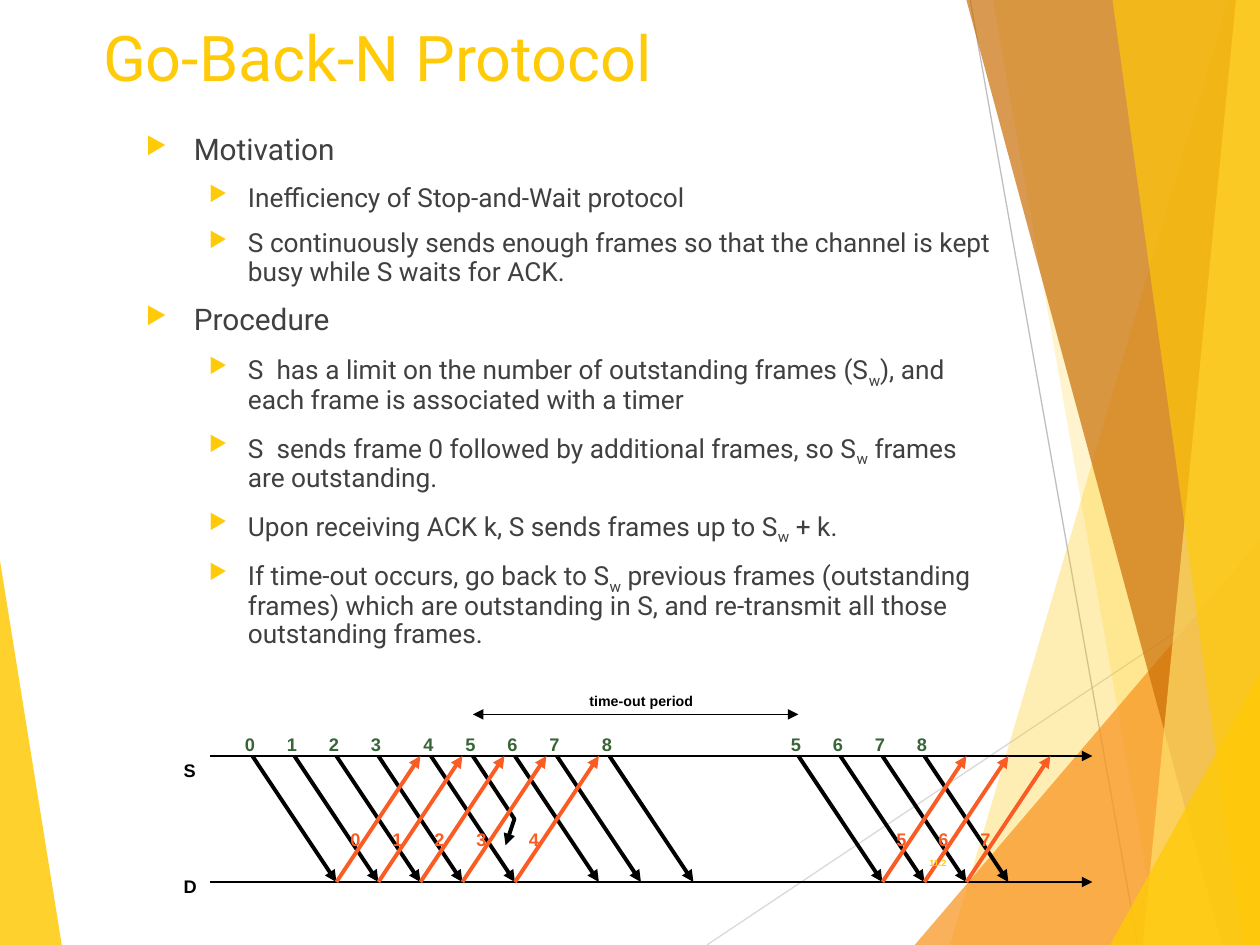
from dataclasses import dataclass

from lxml.etree import SubElement
from pptx import Presentation
from pptx.dml.color import RGBColor
from pptx.enum.shapes import MSO_CONNECTOR
from pptx.enum.text import MSO_ANCHOR, MSO_AUTO_SIZE, PP_ALIGN
from pptx.oxml.ns import qn
from pptx.util import Inches, Pt


@dataclass(frozen=True)
class Theme:
    """Colours, fonts and type sizes of the slide."""
    gold: str = "FFCA08"
    pale_gold: str = "FFDF6B"
    orange: str = "F8931D"
    brown: str = "CA6F06"
    body: str = "404040"
    black: str = "000000"
    frame: str = "376537"
    ack: str = "FA5C24"
    light_grey: str = "D9D9D9"
    grey: str = "BFBFBF"
    text_font: str = "Roboto"
    label_font: str = "Arial"
    title_size: int = 36
    level_sizes: tuple = (17, 15)
    label_size: int = 18
    period_size: int = 14
    number_size: int = 9
    thin: float = 0.75
    thick: float = 2.25


@dataclass(frozen=True)
class Box:
    """A region of the slide, in inches."""
    left: float
    top: float
    width: float
    height: float


THEME = Theme()
SLIDE = Box(0, 0, 10, 7.5)
POINTS = [
    (0, "Motivation"),
    (1, "Inefficiency of Stop-and-Wait protocol"),
    (1, "S continuously sends enough frames so that the channel is kept busy while S waits for ACK."),
    (0, "Procedure"),
    (1, "S  has a limit on the number of outstanding frames (S|w|), and each frame is associated with a timer"),
    (1, "S  sends frame 0 followed by additional frames, so S|w| frames are outstanding."),
    (1, "Upon receiving ACK k, S sends frames up to S|w| + k."),
    (1, "If time-out occurs, go back to S|w| previous frames (outstanding frames) which are outstanding in S, "
        "and re-transmit all those outstanding frames."),
]
LEVEL_INDENTS = [(0.38, -0.38), (0.81, -0.31)]
LOST_SLOT, RESEND_SLOT = 5.25, 13
FRAMES = [("0", 0), ("1", 1), ("2", 2), ("3", 3), ("4", 4.25), ("5", LOST_SLOT), ("6", 6.25), ("7", 7.25),
          ("8", 8.5), ("5", RESEND_SLOT), ("6", 14), ("7", 15), ("8", 16)]
ACKS = [("0", 2), ("1", 3), ("2", 4), ("3", 5), ("4", 6.25), ("5", 15), ("6", 16), ("7", 17)]


def style_font(font, name, size, color, bold=False):
    """Set the face, size, colour and weight of a font."""
    font.name, font.size, font.bold = name, Pt(size), bold
    font.color.rgb = RGBColor.from_string(color)


def style_line(shape, color, width, head=False, tail=True):
    """Set the outline of a shape and its arrowheads."""
    shape.line.color.rgb = RGBColor.from_string(color)
    shape.line.width = Pt(width)
    outline = shape.element.spPr.find(qn("a:ln"))
    for tag, wanted in (("a:headEnd", head), ("a:tailEnd", tail)):
        if wanted:
            SubElement(outline, qn(tag), type="triangle")


def add_line(slide, start, end, color, width, head=False, tail=True):
    """Draw a straight connector between two points in inches."""
    connector = slide.shapes.add_connector(
        MSO_CONNECTOR.STRAIGHT, *(Inches(value) for value in (*start, *end)))
    style_line(connector, color, width, head, tail)
    SubElement(connector.element.spPr, qn("a:effectLst"))


def add_outline(slide, points, close=True):
    """Build a freeform through points in inches."""
    first, *rest = [(Inches(x), Inches(y)) for x, y in points]
    builder = slide.shapes.build_freeform(*first)
    builder.add_line_segments(rest, close=close)
    shape = builder.convert_to_shape()
    shape.shadow.inherit = False
    return shape


def add_facet(slide, points, color, opacity):
    """Draw a translucent polygon without an outline."""
    facet = add_outline(slide, points)
    facet.fill.solid()
    facet.fill.fore_color.rgb = RGBColor.from_string(color)
    facet.line.fill.background()
    color_element = facet.element.spPr.find(qn("a:solidFill"))[0]
    SubElement(color_element, qn("a:alpha"), val=str(opacity * 1000))


def add_text_box(slide, box):
    """Add a wrapping text box and return its text frame."""
    text_frame = slide.shapes.add_textbox(
        Inches(box.left), Inches(box.top), Inches(box.width), Inches(box.height)).text_frame
    text_frame.word_wrap = True
    return text_frame


def add_label(slide, box, text, color, size=THEME.label_size, inset=True):
    """Add a bold, slightly lowered label and return its text frame."""
    text_frame = add_text_box(slide, box)
    text_frame.word_wrap = False
    text_frame.auto_size = MSO_AUTO_SIZE.SHAPE_TO_FIT_TEXT
    if not inset:
        text_frame.margin_left = text_frame.margin_right = 0
        text_frame.margin_top = text_frame.margin_bottom = 0
    text_frame.text = text
    run = text_frame.paragraphs[0].runs[0]
    style_font(run.font, THEME.label_font, size, color, bold=True)
    run._r.get_or_add_rPr().set("baseline", "-18000")
    return text_frame


def add_backdrop(slide, box):
    """Draw the coloured facets and hairlines along the slide edges."""
    left, top = box.left, box.top
    right, bottom = left + box.width, top + box.height
    corner_right, corner_left = (right, bottom), (left, bottom)
    add_facet(slide, [(left, top + 4.45), (left + 0.49, bottom), corner_left], THEME.gold, 85)
    add_line(slide, (left + 5.61, bottom), (right, top + 4.57), THEME.light_grey, THEME.thin, tail=False)
    add_line(slide, (left + 7.7, top), (left + 9.03, bottom), THEME.grey, THEME.thin, tail=False)
    for upper_x, upper_y, lower_x, color, opacity in (
            (9.75, 0, 7.54, THEME.gold, 30),
            (7.88, 0, 9.2, THEME.gold, 20),
            (10, 4.29, 7.26, THEME.orange, 72),
            (7.67, 0, 9.7, THEME.brown, 70),
            (9.81, 0, 9.07, THEME.pale_gold, 70),
            (8.83, 0, 9.86, THEME.gold, 65),
            (10, 5.35, 8.81, THEME.gold, 80)):
        points = [(left + upper_x, top + upper_y), (left + lower_x, bottom), corner_right]
        if upper_x < box.width:
            points.append((right, top))
        add_facet(slide, points, color, opacity)


def add_title(slide, box):
    """Write the slide title."""
    text_frame = add_text_box(slide, box)
    text_frame.text = "Go-Back-N Protocol"
    style_font(text_frame.paragraphs[0].runs[0].font, THEME.text_font, THEME.title_size, THEME.gold)


def add_bullet(paragraph, level):
    """Give a paragraph its indent and gold triangle bullet."""
    properties = paragraph._p.get_or_add_pPr()
    margin, indent = LEVEL_INDENTS[level]
    properties.set("marL", str(Inches(margin)))
    properties.set("indent", str(Inches(indent)))
    SubElement(SubElement(properties, qn("a:buClr")), qn("a:srgbClr"), val=THEME.gold)
    SubElement(properties, qn("a:buSzPct"), val="80000")
    SubElement(properties, qn("a:buChar"), char="▶")


def add_points(slide, box):
    """Write the two-level bullet list, with subscripts between bars."""
    text_frame = add_text_box(slide, box)
    for index, (level, text) in enumerate(POINTS):
        paragraph = text_frame.add_paragraph() if index else text_frame.paragraphs[0]
        paragraph.level = level
        paragraph.line_spacing = 0.9
        paragraph.space_before = Pt(10 if index else 0)
        add_bullet(paragraph, level)
        for part, piece in enumerate(text.split("|")):
            run = paragraph.add_run()
            run.text = piece
            style_font(run.font, THEME.text_font, THEME.level_sizes[level], THEME.body)
            if part % 2:
                run._r.get_or_add_rPr().set("baseline", "-25000")


def add_timeline(slide, box):
    """Draw frames and acknowledgements travelling between S and D."""
    left, sender, receiver = box.left, box.top, box.top + box.height
    slot = 1 / 3
    travel = 2 * slot

    def at(time):
        return left + (time + 1) * slot

    for name, y, offset in (("D", receiver, -0.25), ("S", sender, -0.17)):
        add_line(slide, (left, y), (left + box.width, y), THEME.black, THEME.thin)
        add_label(slide, Box(left - 0.31, y + offset, 0.3, 0.43), name, THEME.black)
    for number, time in FRAMES:
        x = at(time)
        if time == LOST_SLOT:
            lost = add_outline(slide, [(x, sender), (x + 0.33, sender + 0.5), (x + 0.26, sender + 0.71)], close=False)
            lost.fill.background()
            style_line(lost, THEME.black, THEME.thick)
        else:
            add_line(slide, (x, sender), (x + travel, receiver), THEME.black, THEME.thick)
        add_label(slide, Box(x - 0.06, sender - 0.33, 0.08, 0.32), number, THEME.frame, inset=False)
    for number, time in ACKS:
        x = at(time)
        add_line(slide, (x, receiver), (x + travel, sender), THEME.ack, THEME.thick)
        add_label(slide, Box(x + 0.11, sender + 0.42, 0.08, 0.32), number, THEME.ack, inset=False)
    period_y = sender - 0.33
    add_line(slide, (at(LOST_SLOT), period_y), (at(RESEND_SLOT), period_y), THEME.black, THEME.thin, head=True)
    period = add_label(slide, Box(left + 2.67, sender - 0.67, 1.5, 0.35), "time-out period",
                       THEME.black, THEME.period_size)
    period.paragraphs[0].alignment = PP_ALIGN.CENTER


def add_slide_number(slide, box):
    """Write the slide number at the right of its box."""
    text_frame = add_label(slide, box, "11.2", THEME.gold, THEME.number_size)
    text_frame.auto_size = MSO_AUTO_SIZE.NONE
    text_frame.word_wrap = True
    text_frame.vertical_anchor = MSO_ANCHOR.MIDDLE
    text_frame.paragraphs[0].alignment = PP_ALIGN.RIGHT


def main():
    """Build the slide and save it."""
    presentation = Presentation()
    presentation.slide_width, presentation.slide_height = Inches(SLIDE.width), Inches(SLIDE.height)
    slide = presentation.slides.add_slide(presentation.slide_layouts[6])
    add_backdrop(slide, SLIDE)
    add_title(slide, Box(0.72, 0.1, 6.94, 1.44))
    add_points(slide, Box(1.06, 1.02, 6.94, 4.24))
    add_timeline(slide, Box(1.67, 6, 7, 1))
    add_slide_number(slide, Box(7.05, 6.61, 0.56, 0.4))
    presentation.save("out.pptx")


if __name__ == "__main__":
    main()
